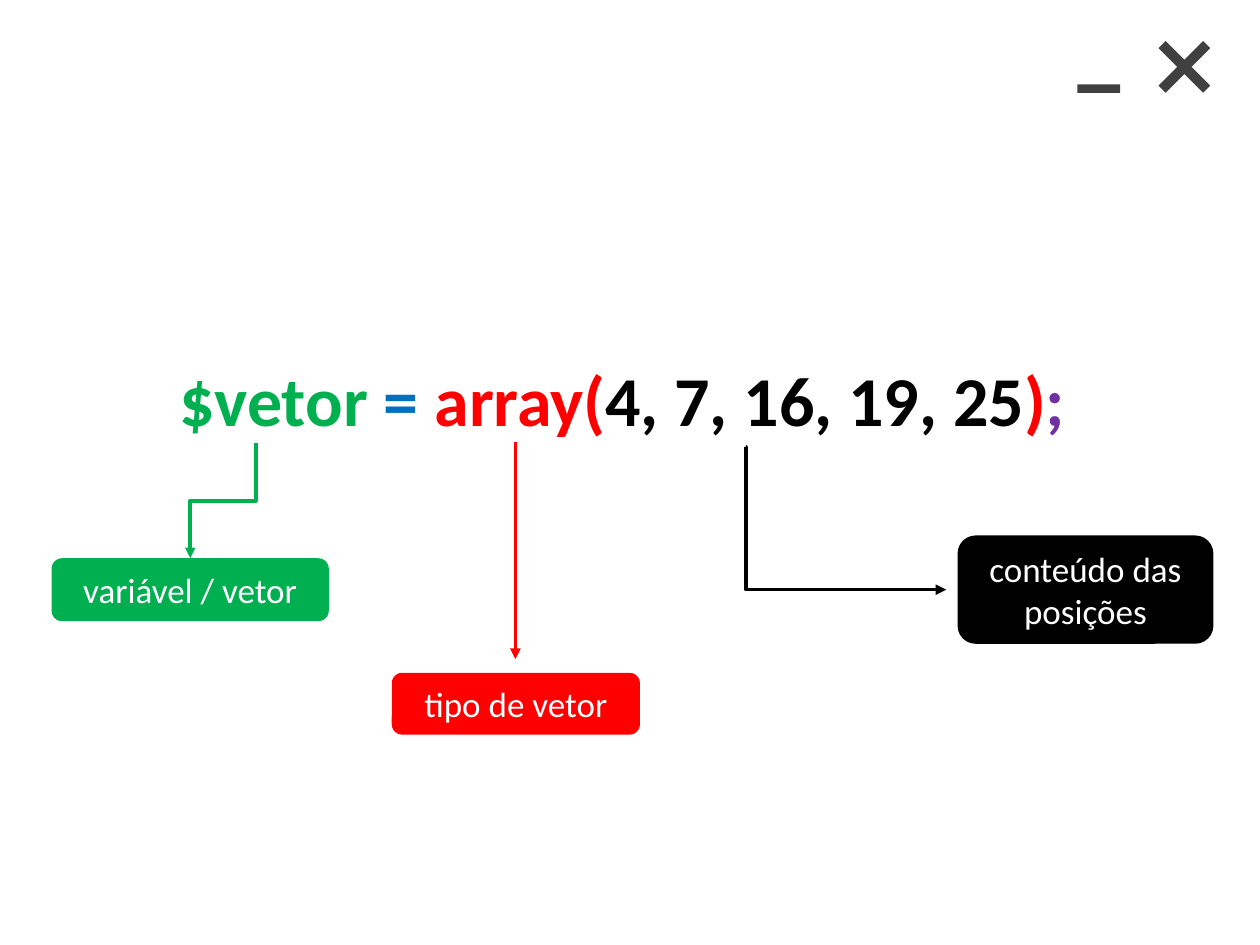
from dataclasses import dataclass
from typing import Any, NamedTuple, Optional

from lxml import etree
from pptx import Presentation
from pptx import util as u
from pptx.dml.color import RGBColor
from pptx.enum import shapes, text
from pptx.oxml import ns


@dataclass(frozen=True)
class Theme:
    green: str = "00B050"
    blue: str = "0070C0"
    red: str = "FF0000"
    black: str = "000000"
    purple: str = "7030A0"
    white: str = "FFFFFF"
    grey: str = "404040"
    font: str = "Calibri"
    code_size: float = 40
    label_size: float = 20
    arrow_width: float = 2


class Box(NamedTuple):
    left: float
    top: float
    width: float
    height: float


class Token(NamedTuple):
    wording: str
    color: str


class Label(NamedTuple):
    wording: str
    color: str
    box: Box


class Arrow(NamedTuple):
    color: str
    start: tuple[float, float]
    end: tuple[float, float]
    bend: Optional[int] = None
    turned: bool = False


THEME = Theme()
CODE_BOX = Box(87.1, 200.2, 537.1, 55.4)
TOKENS = [
    Token("$vetor ", THEME.green),
    Token("= ", THEME.blue),
    Token("array(", THEME.red),
    Token("4, 7, 16, 19, 25", THEME.black),
    Token(")", THEME.red),
    Token(";", THEME.purple),
]
LABELS = [
    Label("conteúdo das posições", THEME.black, Box(547.2, 306, 146.2, 61.9)),
    Label("variável / vetor", THEME.green, Box(29.5, 319, 158.4, 36)),
    Label("tipo de vetor", THEME.red, Box(223.9, 384.5, 141.8, 35.3)),
]
ARROWS = [
    Arrow(THEME.green, (146.2, 253.4), (108.7, 319), bend=50000, turned=True),
    Arrow(THEME.red, (294.5, 252.7), (294.5, 376.6)),
    Arrow(THEME.black, (426.2, 255.6), (540.7, 337), bend=100),
]
CLOSE_BOX = Box(658.8, 20.2, 36, 36)
MINIMIZE_BOX = Box(615.6, 48.2, 24.5, 5)


def apply(target: Any, values: dict[str, Any]) -> None:
    """Set each named value on the target."""
    for name, value in values.items():
        setattr(target, name, value)


def add_run(paragraph: Any, token: Token, size: float, bold: bool) -> None:
    """Append one coloured run to a paragraph."""
    run = paragraph.add_run()
    run.text = token.wording
    apply(run.font, {"name": THEME.font, "size": u.Pt(size), "bold": bold})
    run.font.color.rgb = RGBColor.from_string(token.color)


def draw_code(slide: Any) -> None:
    """Write the array statement in its syntax colours."""
    frame = slide.shapes.add_textbox(*map(u.Pt, CODE_BOX)).text_frame
    apply(frame, {"word_wrap": False, "auto_size": text.MSO_AUTO_SIZE.SHAPE_TO_FIT_TEXT})
    statement = frame.paragraphs[0]
    statement.alignment = text.PP_ALIGN.CENTER
    for token in TOKENS:
        add_run(statement, token, THEME.code_size, True)


def draw_solid(slide: Any, kind: Any, box: Box, color: str) -> Any:
    """Draw a filled preset shape without outline or shadow."""
    solid = slide.shapes.add_shape(kind, *map(u.Pt, box))
    solid.shadow.inherit = False
    solid.fill.solid()
    solid.fill.fore_color.rgb = RGBColor.from_string(color)
    solid.line.fill.background()
    return solid


def draw_label(slide: Any, label: Label) -> None:
    """Draw a rounded label with centred wording."""
    plate = draw_solid(slide, shapes.MSO_SHAPE.ROUNDED_RECTANGLE, label.box, label.color)
    frame = plate.text_frame
    apply(frame, {"word_wrap": True, "vertical_anchor": text.MSO_ANCHOR.MIDDLE,
                  "margin_top": 0, "margin_bottom": 0})
    caption = frame.paragraphs[0]
    caption.alignment = text.PP_ALIGN.CENTER
    add_run(caption, Token(label.wording, THEME.white), THEME.label_size, False)


def draw_arrow(slide: Any, arrow: Arrow) -> None:
    """Draw a straight or bent arrow, turned to leave its start downwards."""
    (x1, y1), (x2, y2) = arrow.start, arrow.end
    if arrow.turned:
        mid_x, mid_y = (x1 + x2) / 2, (y1 + y2) / 2
        half_w, half_h = abs(y2 - y1) / 2, abs(x2 - x1) / 2
        x1, y1, x2, y2 = mid_x - half_w, mid_y - half_h, mid_x + half_w, mid_y + half_h
    kind = shapes.MSO_CONNECTOR.STRAIGHT if arrow.bend is None else shapes.MSO_CONNECTOR.ELBOW
    connector = slide.shapes.add_connector(kind, *map(u.Pt, (x1, y1, x2, y2)))
    connector.line.width = u.Pt(THEME.arrow_width)
    connector.line.color.rgb = RGBColor.from_string(arrow.color)
    properties = connector._element.spPr
    if arrow.turned:
        properties.find(ns.qn("a:xfrm")).set("rot", "5400000")
    if arrow.bend is not None:
        guides = properties.find(ns.qn("a:prstGeom")).get_or_add_avLst()
        etree.SubElement(guides, ns.qn("a:gd"), name="adj1", fmla=f"val {arrow.bend}")
    etree.SubElement(properties.find(ns.qn("a:ln")), ns.qn("a:tailEnd"), type="triangle")
    etree.SubElement(properties, ns.qn("a:effectLst"))


def main() -> None:
    """Build the annotated array slide."""
    deck = Presentation()
    apply(deck, {"slide_width": u.Pt(720), "slide_height": u.Pt(540)})
    slide = deck.slides.add_slide(deck.slide_layouts[6])
    draw_code(slide)
    for arrow in ARROWS:
        draw_arrow(slide, arrow)
    for label in LABELS:
        draw_label(slide, label)
    close = draw_solid(slide, shapes.MSO_SHAPE.CROSS, CLOSE_BOX, THEME.grey)
    close.rotation = 315
    close.adjustments[0] = 0.42
    draw_solid(slide, shapes.MSO_SHAPE.RECTANGLE, MINIMIZE_BOX, THEME.grey)
    deck.save("out.pptx")


if __name__ == "__main__":
    main()
